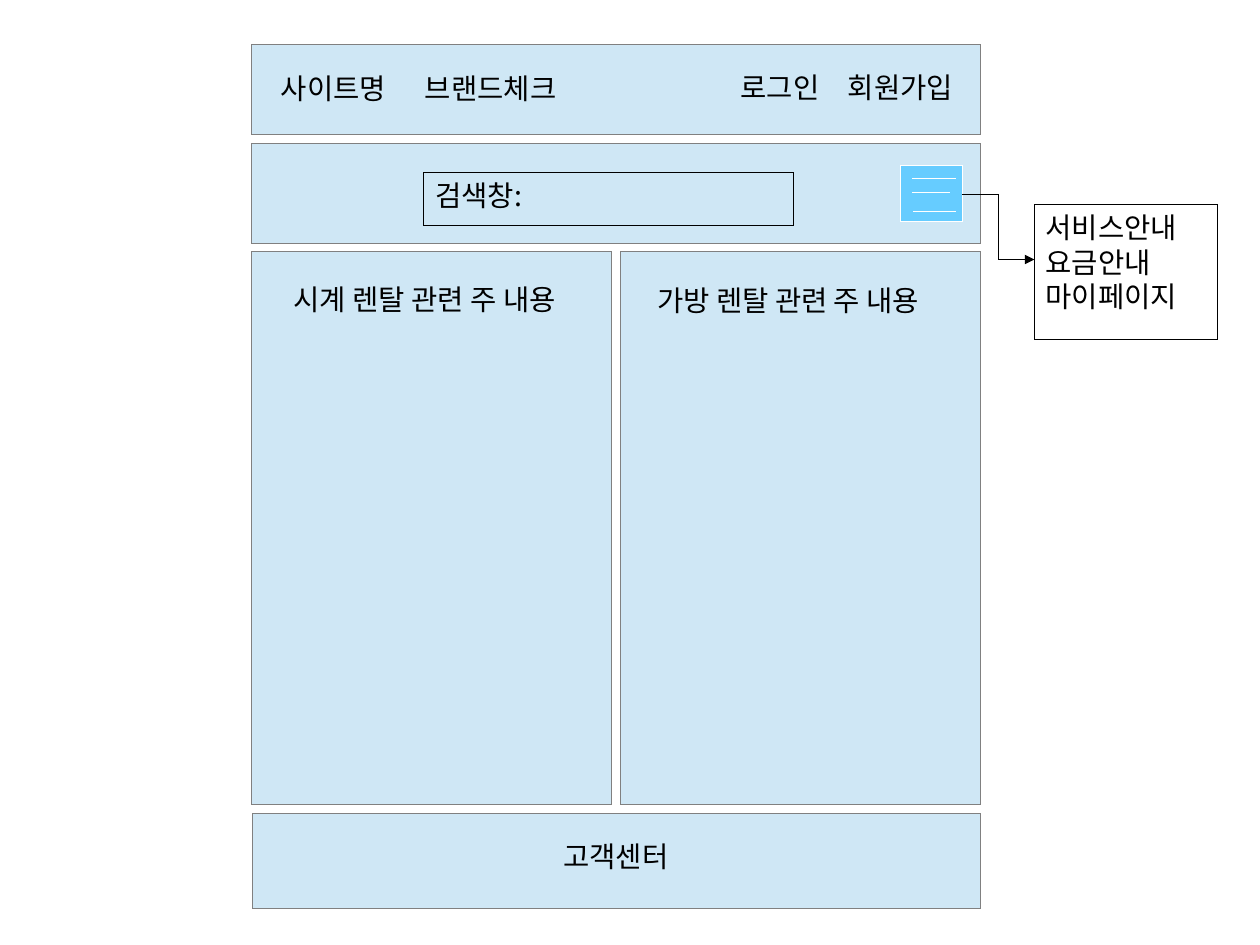
import pptx
import pptx.util
import pptx.dml.color
import pptx.enum.shapes
import pptx.enum.text
import pptx.oxml.ns
import lxml.etree

Inches = pptx.util.Inches
Pt = pptx.util.Pt
qn = pptx.oxml.ns.qn
FONT = "Noto Sans CJK KR"
HAIRLINE = Pt(0.01)
CM_PER_INCH = 2.54
COLORS = {
    "panel": "CFE7F5",
    "border": "808080",
    "icon": "66CCFF",
    "white": "FFFFFF",
    "black": "000000",
}


def rgb(name):
    return pptx.dml.color.RGBColor.from_string(COLORS[name])


def add_rect(slide, box, line, fill=None):
    sp = slide.shapes.add_shape(
        pptx.enum.shapes.MSO_SHAPE.RECTANGLE, *map(Inches, box))
    sp.shadow.inherit = False
    if fill:
        sp.fill.solid()
        sp.fill.fore_color.rgb = rgb(fill)
    else:
        sp.fill.background()
    sp.line.color.rgb = rgb(line)
    sp.line.width = HAIRLINE
    return sp


def add_panel(slide, box):
    return add_rect(slide, box, "border", "panel")


def set_text(sp, *lines):
    tf = sp.text_frame
    tf.word_wrap = True
    tf.auto_size = pptx.enum.text.MSO_AUTO_SIZE.SHAPE_TO_FIT_TEXT
    tf.vertical_anchor = pptx.enum.text.MSO_ANCHOR.TOP
    tf.text = "\n".join(lines)
    for p in tf.paragraphs:
        p.alignment = pptx.enum.text.PP_ALIGN.LEFT
        p.font.size = Pt(18)
        p.font.name = FONT
        p.font.color.rgb = rgb("black")
        props = p._p.pPr.find(qn("a:defRPr"))
        lxml.etree.SubElement(props, qn("a:ea")).set("typeface", FONT)


def add_label(slide, text, left, top, width, height=0.46):
    sp = slide.shapes.add_textbox(*map(Inches, (left, top, width, height)))
    set_text(sp, text)


def add_line(slide, kind, start, end, color):
    line = slide.shapes.add_connector(kind, *map(Inches, (*start, *end)))
    line.line.color.rgb = rgb(color)
    line.line.width = HAIRLINE
    lxml.etree.SubElement(line._element.spPr, qn("a:effectLst"))
    return line


def add_header(slide, box):
    left, top = box[:2]
    add_panel(slide, box)
    for text, dx, dy, width in (
        ("사이트명", 0.16, 0.18, 1.57),
        ("브랜드체크", 1.42, 0.18, 1.5),
        ("회원가입", 5.12, 0.17, 1.26),
        ("로그인", 4.18, 0.17, 1.02),
    ):
        add_label(slide, text, left + dx, top + dy, width)


def add_search_bar(slide, box):
    left, top = box[:2]
    add_panel(slide, box)
    field = add_rect(slide, (left + 1.51, top + 0.25, 3.23, 0.46), "black")
    set_text(field, "검색창:")


def add_content(slide, box, text, dx, dy, width, height):
    add_panel(slide, box)
    add_label(slide, text, box[0] + dx, box[1] + dy, width, height)


def add_footer(slide, box):
    add_panel(slide, box)
    add_label(slide, "고객센터", box[0] + 2.62, box[1] + 0.17, 1.22)


def add_menu(slide, box):
    sp = add_rect(slide, box, "black")
    set_text(sp, "서비스안내", "요금안내", "마이페이지")


def add_menu_icon(slide, box, target):
    left, top, width, height = box
    add_rect(slide, box, "white", "icon")
    straight = pptx.enum.shapes.MSO_CONNECTOR.STRAIGHT
    for x1, x2, dy in ((0.1, 0.48, 0.11), (0.1, 0.43, 0.23), (0.11, 0.48, 0.4)):
        add_line(slide, straight, (left + x1, top + dy),
                 (left + x2, top + dy), "white")
    arrow = add_line(slide, pptx.enum.shapes.MSO_CONNECTOR.ELBOW,
                     (left + width, top + height / 2), target, "black")
    ln = arrow.line._get_or_add_ln()
    lxml.etree.SubElement(ln, qn("a:tailEnd")).set("type", "triangle")


def main():
    prs = pptx.Presentation()
    prs.slide_width = Inches(28 / CM_PER_INCH)
    prs.slide_height = Inches(21 / CM_PER_INCH)
    slide = prs.slides.add_slide(prs.slide_layouts[6])
    left, width = 2.2, 6.38
    column = 3.15
    right = left + width - column
    add_footer(slide, (2.21, 7.12, 6.37, 0.83))
    add_header(slide, (left, 0.39, width, 0.79))
    add_search_bar(slide, (left, 1.26, width, 0.87))
    add_content(slide, (left, 2.2, column, 4.84),
                "시계 렌탈 관련 주 내용", 0.27, 0.22, 2.78, 0.46)
    add_content(slide, (right, 2.2, column, 4.84),
                "가방 렌탈 관련 주 내용", 0.22, 0.23, 2.88, 0.53)
    add_menu(slide, (9.05, 1.79, 1.6, 1.18))
    add_menu_icon(slide, (7.88, 1.45, 0.54, 0.49), (9.05, 2.27))
    prs.save("out.pptx")


if __name__ == "__main__":
    main()
